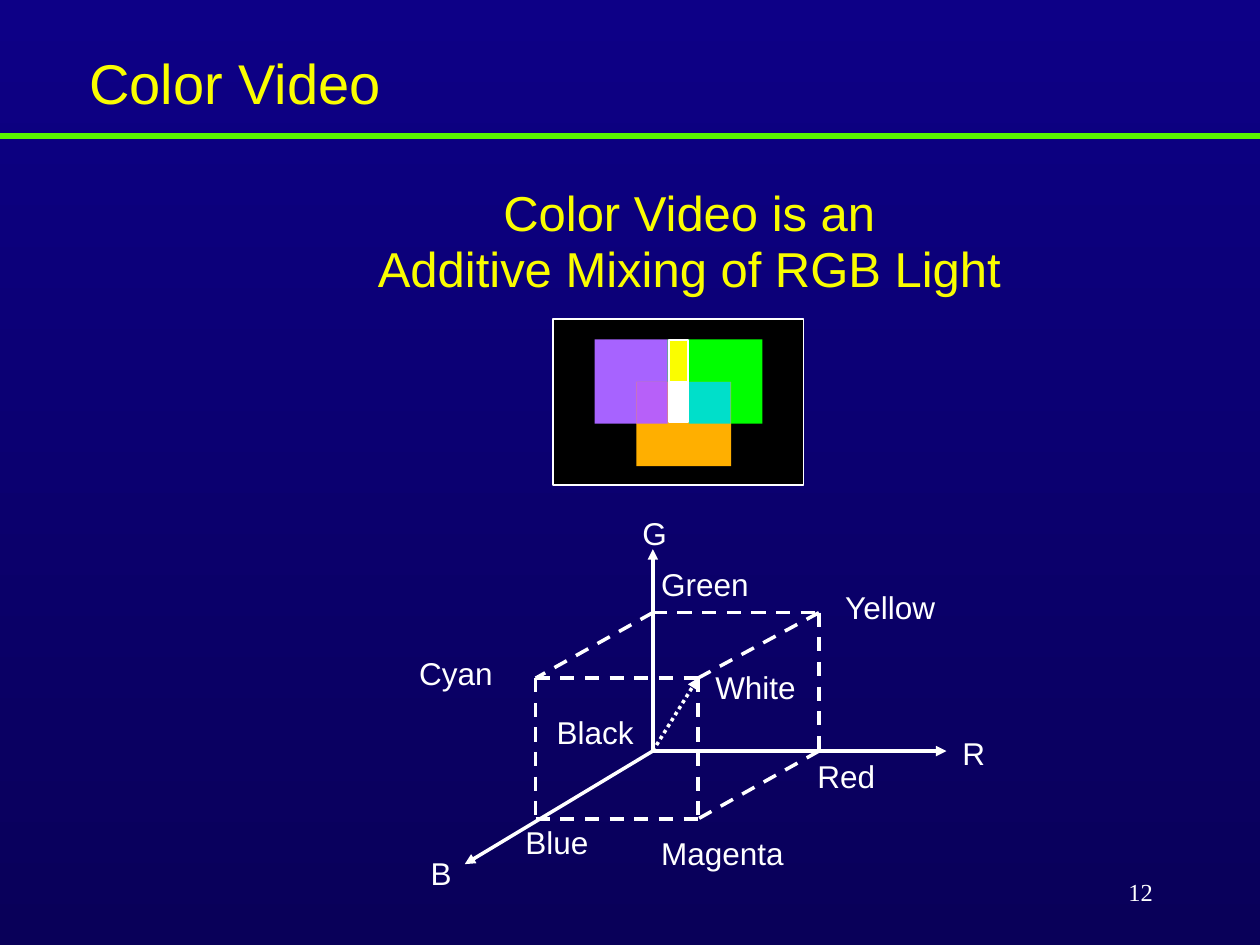
from dataclasses import dataclass

from lxml.etree import SubElement
from pptx import Presentation
from pptx.dml.color import RGBColor
from pptx.enum.dml import MSO_LINE
from pptx.enum.shapes import MSO_CONNECTOR, MSO_SHAPE
from pptx.enum.text import MSO_ANCHOR, PP_ALIGN
from pptx.oxml.ns import qn
from pptx.util import Cm, Pt


@dataclass(frozen=True)
class Theme:
    top: str = "0D0086"
    bottom: str = "090059"
    rule: str = "5AF400"
    yellow: str = "FAFD00"
    white: str = "FFFFFF"
    black: str = "000000"
    violet: str = "A763FF"
    green: str = "00FF00"
    orange: str = "FFAF00"
    cyan: str = "00DFCA"
    magenta: str = "B760F9"
    sans: str = "Arial"
    serif: str = "Times New Roman"
    title: int = 32
    heading: int = 28
    label: int = 18
    number: int = 14


T = Theme()
rgb = RGBColor.from_string


def add_text(s, box, text, size, color=T.white, font=T.sans,
             align=PP_ALIGN.LEFT, anchor=MSO_ANCHOR.TOP, spacing=None, wrap=False):
    tf = s.shapes.add_textbox(*map(Cm, box)).text_frame
    tf.word_wrap = wrap
    tf.vertical_anchor = anchor
    tf.text = text
    p = tf.paragraphs[0]
    p.alignment = align
    p.line_spacing = spacing
    p.font.name, p.font.size = font, Pt(size)
    p.font.color.rgb = rgb(color)


def add_line(s, start, end, color=T.white, width=2, dash=None, arrow=False):
    cx = s.shapes.add_connector(MSO_CONNECTOR.STRAIGHT, *map(Cm, (*start, *end)))
    cx.line.color.rgb = rgb(color)
    cx.line.width = Pt(width)
    if dash:
        cx.line.dash_style = dash
    if arrow:
        SubElement(cx.line._get_or_add_ln(), qn("a:tailEnd"), type="triangle")
    SubElement(cx._element.spPr, qn("a:effectLst"))


def paint_background(s):
    fill = s.background.fill
    fill.gradient()
    fill.gradient_angle = 270
    for stop, color in zip(fill.gradient_stops, (T.top, T.bottom)):
        stop.color.rgb = rgb(color)


def add_title(s, x, y, w, h):
    add_line(s, (x, y + h), (x + w, y + h), T.rule, 3)
    add_text(s, (x + 1.55, y + 0.86, 6.45, 1.63), "Color Video", T.title, T.yellow)


def add_heading(s, x, y, w, h):
    add_text(s, (x, y, w, h), "Color Video is an\vAdditive Mixing of RGB Light",
             T.heading, T.yellow, align=PP_ALIGN.CENTER, spacing=0.94, wrap=True)


def add_mixing(s, x, y, w, h):
    group = s.shapes.add_group_shape()
    beam_w, beam_h = 1.91, 1.7
    patches = (
        (0, 0, w, h, T.black, True),
        (0.84, 0.41, beam_w, beam_h, T.violet, False),
        (2.31, 0.41, beam_w, beam_h, T.green, False),
        (1.68, 1.27, beam_w, beam_h, T.orange, False),
        (2.74, 1.27, 0.84, 0.84, T.cyan, False),
        (1.68, 1.27, 0.63, 0.84, T.magenta, False),
        (2.34, 0.43, 0.38, 1.02, T.yellow, True),
        (2.34, 1.27, 0.38, 0.81, T.white, True),
    )
    for dx, dy, pw, ph, color, outlined in patches:
        sp = group.shapes.add_shape(
            MSO_SHAPE.RECTANGLE, Cm(x + dx), Cm(y + dy), Cm(pw), Cm(ph))
        sp.shadow.inherit = False
        sp.fill.solid()
        sp.fill.fore_color.rgb = rgb(color)
        if outlined:
            sp.line.color.rgb = rgb(T.white)
            sp.line.width = Pt(1)
        else:
            sp.line.fill.background()


def add_color_cube(s, x, y):
    def at(dx, dy):
        return x + dx, y + dy

    left, middle, axis, right = 2.6, 5.87, 4.96, 8.31
    back_top, back_bottom, front_top, front_bottom = 2.11, 4.9, 3.43, 6.27
    corners = {
        "Black": at(axis, back_bottom),
        "Green": at(axis, back_top),
        "Yellow": at(right, back_top),
        "Red": at(right, back_bottom),
        "Cyan": at(left, front_top),
        "White": at(middle, front_top),
        "Blue": at(left, front_bottom),
        "Magenta": at(middle, front_bottom),
    }
    edges = (
        ("Green", "Yellow"), ("Green", "Cyan"), ("Cyan", "White"),
        ("Yellow", "White"), ("Cyan", "Blue"), ("Yellow", "Red"),
        ("White", "Magenta"), ("Red", "Magenta"), ("Blue", "Magenta"),
    )
    labels = {
        "R": (10.95, 4.44, 0.97),
        "G": (4.5, 0, 1.02),
        "B": (0.23, 6.85, 0.94),
        "Cyan": (0, 2.82, 2.01),
        "Black": (2.77, 4.01, 2.08),
        "White": (5.97, 3.1, 2.16),
        "Red": (8.03, 4.9, 1.68),
        "Blue": (2.14, 6.22, 1.8),
        "Magenta": (4.88, 6.45, 3),
        "Green": (4.88, 1.02, 2.29),
        "Yellow": (8.59, 1.49, 2.34),
    }
    for tip in (at(axis, 0.83), at(10.88, back_bottom), at(1.17, 7.18)):
        add_line(s, corners["Black"], tip, arrow=True)
    for start, end in edges:
        add_line(s, corners[start], corners[end], dash=MSO_LINE.DASH)
    add_line(s, corners["Black"], corners["White"], dash=MSO_LINE.ROUND_DOT, arrow=True)
    for name, (dx, dy, w) in labels.items():
        add_text(s, (*at(dx, dy), w, 1.02), name, T.label)


def add_page_number(s, x, y, w, h):
    add_text(s, (x, y, w, h), "12", T.number, font=T.serif,
             align=PP_ALIGN.RIGHT, anchor=MSO_ANCHOR.MIDDLE, wrap=True)


def main():
    prs = Presentation()
    prs.slide_width, prs.slide_height = Cm(25.4), Cm(19.05)
    s = prs.slides.add_slide(prs.slide_layouts[6])
    paint_background(s)
    add_title(s, 0, 0, 25.4, 2.74)
    add_mixing(s, 11.15, 6.43, 5.05, 3.35)
    add_heading(s, 2.39, 3.66, 23.01, 2.4)
    add_color_cube(s, 8.2, 10.24)
    add_page_number(s, 18.21, 17.35, 5.28, 1.27)
    prs.save("out.pptx")


if __name__ == "__main__":
    main()
